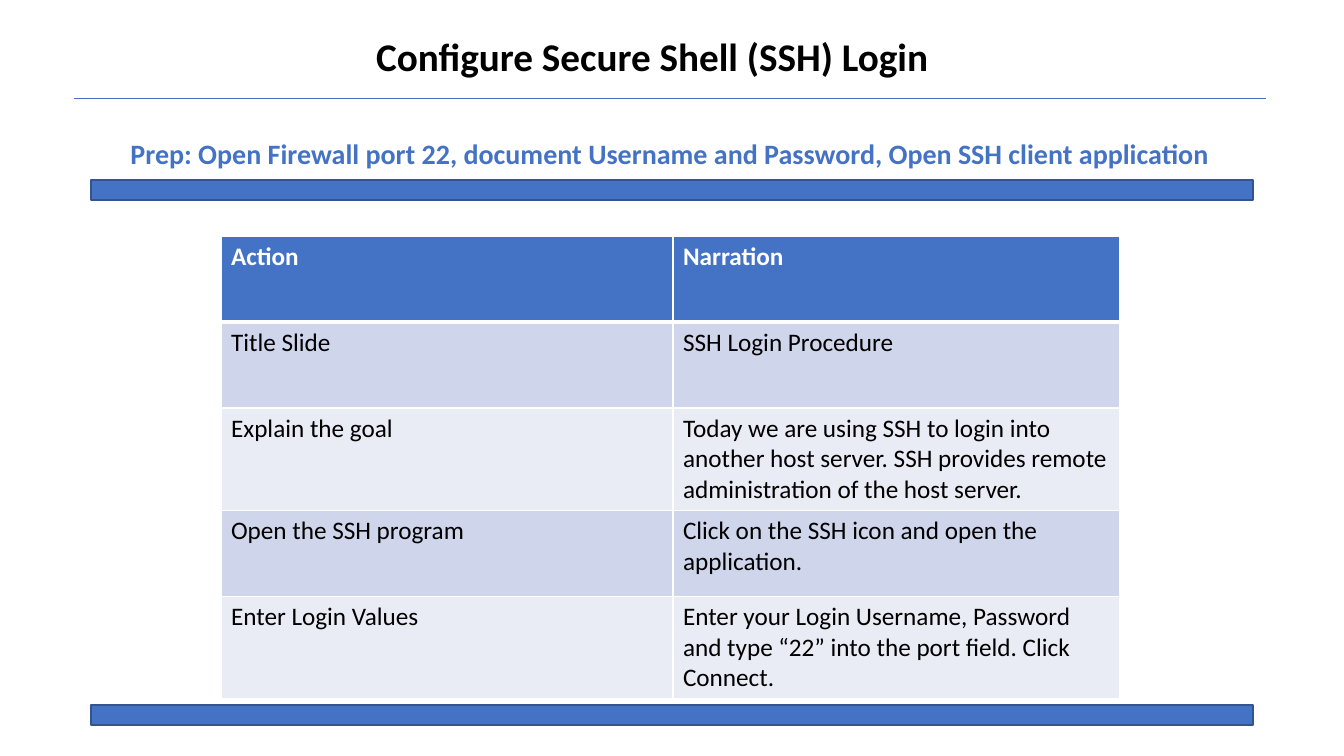
from lxml.etree import SubElement
from pptx import Presentation
from pptx.dml.color import RGBColor
from pptx.enum.shapes import MSO_CONNECTOR, MSO_SHAPE
from pptx.enum.text import MSO_ANCHOR, MSO_AUTO_SIZE, PP_ALIGN
from pptx.oxml.ns import qn
from pptx.util import Pt

PX = 914400 / 100.8
BLUE = RGBColor(0x44, 0x72, 0xC4)
DARK_BLUE = RGBColor(0x32, 0x54, 0x91)
BAND_DARK = RGBColor(0xCF, 0xD5, 0xEA)
BAND_LIGHT = RGBColor(0xE9, 0xEB, 0xF5)
WHITE = RGBColor(0xFF, 0xFF, 0xFF)
BLACK = RGBColor(0, 0, 0)

STEPS = [
    ("Action", "Narration"),
    ("Title Slide", "SSH Login Procedure"),
    ("Explain the goal",
     "Today we are using SSH to login into another host server. "
     "SSH provides remote administration of the host server."),
    ("Open the SSH program", "Click on the SSH icon and open the application."),
    ("Enter Login Values",
     "Enter your Login Username, Password and type “22” into the port field. "
     "Click Connect."),
]


def emu(*lengths):
    return [round(length * PX) for length in lengths]


def write(frame, text, size=18, color=BLACK, bold=False, align=PP_ALIGN.LEFT):
    frame.word_wrap = True
    paragraph = frame.paragraphs[0]
    paragraph.text = text
    paragraph.alignment = align
    paragraph.space_before = Pt(0)
    font = paragraph.runs[0].font
    font.name = "Calibri"
    font.size = Pt(size)
    font.bold = bold
    font.color.rgb = color


def set_borders(cell, header):
    """Draw white cell edges, with a heavier one below the header."""
    properties = cell._tc.get_or_add_tcPr()
    for position, side in enumerate(("lnL", "lnR", "lnT", "lnB")):
        width = Pt(3 if header and side == "lnB" else 1)
        edge = properties.makeelement(qn(f"a:{side}"), {"w": str(width)})
        fill = SubElement(edge, qn("a:solidFill"))
        SubElement(fill, qn("a:srgbClr"), val=str(WHITE))
        properties.insert(position, edge)


class SlideBuilder:
    def __init__(self, slide, accent=BLUE, outline=DARK_BLUE):
        self.slide = slide
        self.accent = accent
        self.outline = outline

    def heading(self, placeholder, text, box, **style):
        placeholder.left, placeholder.top, placeholder.width, placeholder.height = emu(*box)
        frame = placeholder.text_frame
        frame.auto_size = MSO_AUTO_SIZE.NONE
        frame.vertical_anchor = MSO_ANCHOR.TOP
        write(frame, text, bold=True, align=PP_ALIGN.CENTER, **style)

    def rule(self, x1, x2, y):
        divider = self.slide.shapes.add_connector(
            MSO_CONNECTOR.STRAIGHT, *emu(x1, y, x2, y))
        divider.line.color.rgb = self.accent
        divider.line.width = Pt(0.5)
        SubElement(divider._element.spPr, qn("a:effectLst"))

    def bar(self, *box):
        band = self.slide.shapes.add_shape(MSO_SHAPE.RECTANGLE, *emu(*box))
        band.shadow.inherit = False
        band.fill.solid()
        band.fill.fore_color.rgb = self.accent
        band.line.color.rgb = self.outline
        band.line.width = Pt(1)

    def table(self, rows, left, top, widths, heights):
        grid = self.slide.shapes.add_table(
            len(rows), len(widths),
            *emu(left, top, sum(widths), sum(heights))).table
        for column, width in zip(grid.columns, emu(*widths)):
            column.width = width
        for row, height in zip(grid.rows, emu(*heights)):
            row.height = height
        for r, texts in enumerate(rows):
            header = r == 0
            band = self.accent if header else BAND_DARK if r % 2 else BAND_LIGHT
            for c, text in enumerate(texts):
                cell = grid.cell(r, c)
                cell.fill.solid()
                cell.fill.fore_color.rgb = band
                set_borders(cell, header)
                write(cell.text_frame, text, bold=header,
                      color=WHITE if header else BLACK)


def main():
    deck = Presentation()
    deck.slide_width, deck.slide_height = emu(1344, 756)
    slide = deck.slides.add_slide(deck.slide_layouts[0])
    title, preparation = slide.placeholders
    builder = SlideBuilder(slide)

    builder.heading(title, "Configure Secure Shell (SSH) Login",
                    (308, 27, 688, 57), size=28)
    builder.rule(74, 1266, 98)
    builder.heading(preparation,
                    "Prep: Open Firewall port 22, document Username and Password, "
                    "Open SSH client application",
                    (74, 131, 1192, 75), size=20, color=BLUE)
    builder.table(STEPS, 221, 236, widths=(452, 447),
                  heights=(86, 86, 99, 86, 99))
    for top in (180, 705):
        builder.bar(91, top, 1162, 20)

    deck.save("out.pptx")


if __name__ == "__main__":
    main()
